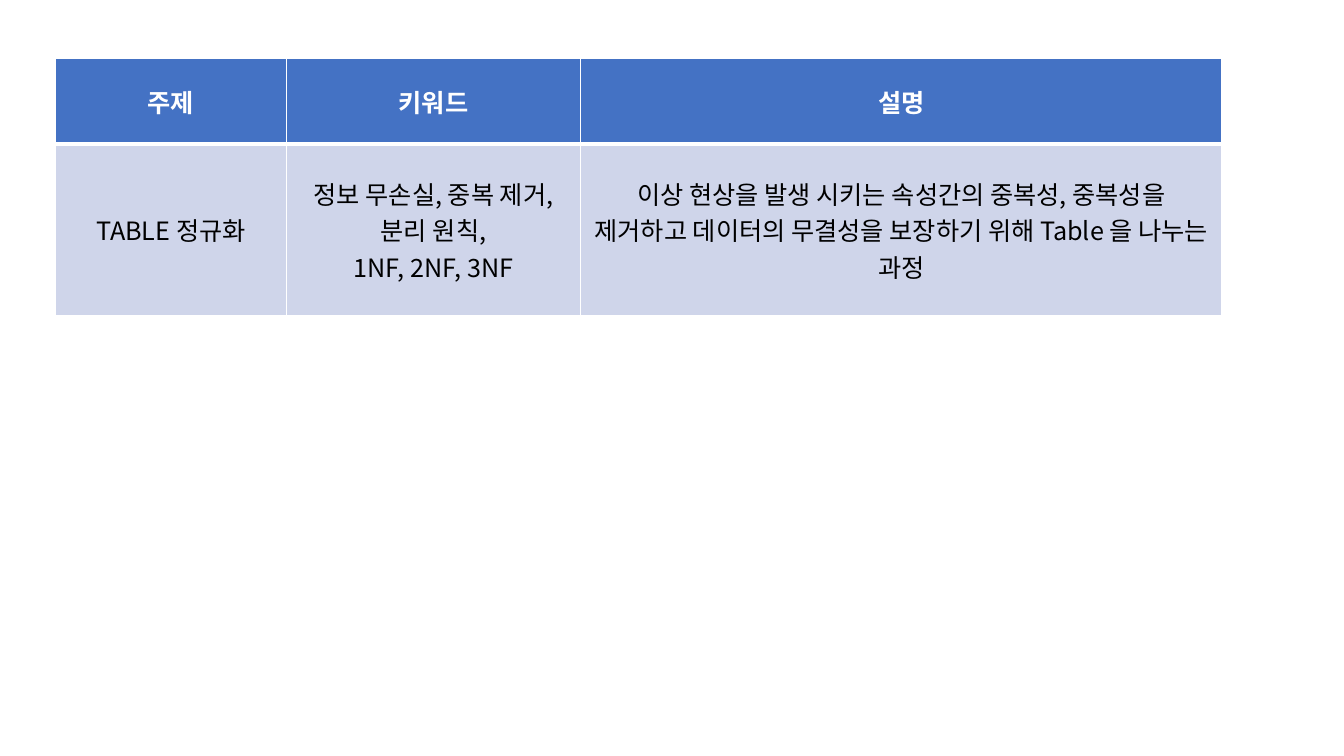
from dataclasses import dataclass

from lxml.etree import SubElement
from pptx import Presentation
from pptx.dml.color import RGBColor
from pptx.enum.text import MSO_ANCHOR as Anchor, PP_ALIGN as Align
from pptx.oxml.ns import qn
from pptx.table import _Cell as Cell
from pptx.util import Inches, Pt

FONT = "Noto Sans CJK KR"
WHITE = "FFFFFF"
LEFT, TOP = 4.13, 7.73
COLUMNS = (17.18, 21.9, 47.71)


@dataclass(frozen=True)
class Row:
    height: float
    fill: str
    color: str
    bold: bool
    bottom: int
    cells: tuple[tuple[str, ...], ...]


ROWS = (
    Row(11.33, "4472C4", WHITE, True, 3, (("주제",), ("키워드",), ("설명",))),
    Row(22.67, "CFD5EA", "000000", False, 1, (
        ("TABLE 정규화",),
        ("정보 무손실, 중복 제거,", "분리 원칙,", "1NF, 2NF, 3NF"),
        ("이상 현상을 발생 시키는 속성간의 중복성, 중복성을 제거하고 "
         "데이터의 무결성을 보장하기 위해 Table 을 나누는 과정",),
    )),
)


def rgb(color: str) -> RGBColor:
    return RGBColor.from_string(color)


def add_borders(cell: Cell, top: int, bottom: int) -> None:
    tc_pr = cell._tc.get_or_add_tcPr()
    for side, width in (("L", 1), ("R", 1), ("T", top), ("B", bottom)):
        ln = SubElement(tc_pr, qn(f"a:ln{side}"), w=str(Pt(width)))
        fill = SubElement(ln, qn("a:solidFill"))
        SubElement(fill, qn("a:srgbClr"), val=WHITE)


def write_cell(cell: Cell, lines: tuple[str, ...], row: Row) -> None:
    cell.fill.solid()
    cell.fill.fore_color.rgb = rgb(row.fill)
    cell.vertical_anchor = Anchor.MIDDLE
    tf = cell.text_frame
    for i, line in enumerate(lines):
        p = tf.add_paragraph() if i else tf.paragraphs[0]
        p.alignment = Align.CENTER
        r = p.add_run()
        r.text = line
        r.font.size = Pt(18)
        r.font.bold = row.bold
        r.font.color.rgb = rgb(row.color)
        r.font.name = FONT
        SubElement(r._r.get_or_add_rPr(), qn("a:ea"), typeface=FONT)


def main() -> None:
    prs = Presentation()
    prs.slide_width, prs.slide_height = Inches(13.33), Inches(7.5)

    def across(share: float) -> int:
        return round(prs.slide_width * share / 100)

    def down(share: float) -> int:
        return round(prs.slide_height * share / 100)

    s = prs.slides.add_slide(prs.slide_layouts[6])
    table = s.shapes.add_table(
        len(ROWS), len(COLUMNS), across(LEFT), down(TOP),
        across(sum(COLUMNS)), down(sum(row.height for row in ROWS)),
    ).table
    for column, width in zip(table.columns, COLUMNS):
        column.width = across(width)
    top = 1
    for i, row in enumerate(ROWS):
        table.rows[i].height = down(row.height)
        for j, lines in enumerate(row.cells):
            cell = table.cell(i, j)
            add_borders(cell, top, row.bottom)
            write_cell(cell, lines, row)
        top = row.bottom
    prs.save("out.pptx")


if __name__ == "__main__":
    main()
